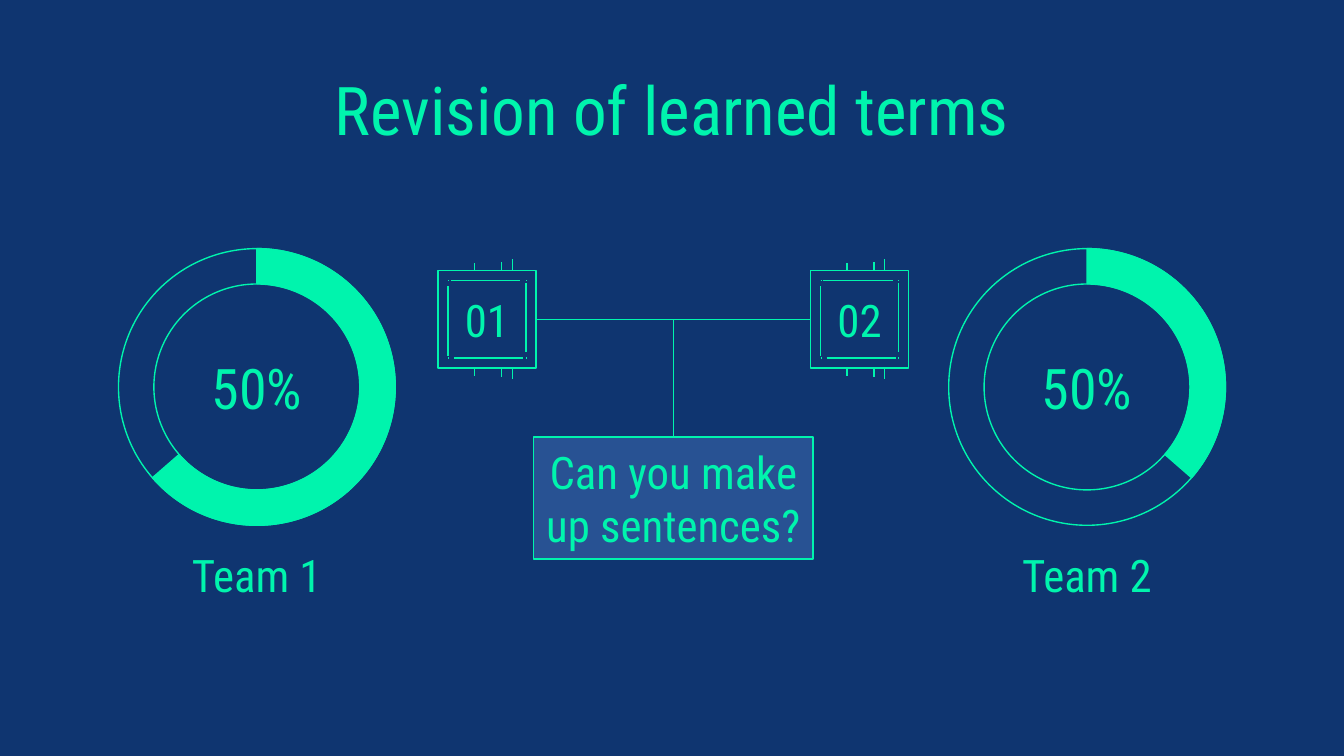
import pptx
import pptx.dml.color
import pptx.enum.shapes
import pptx.enum.text
import pptx.oxml
import pptx.util
from pptx.util import Cm

NAVY = pptx.dml.color.RGBColor(0x0F, 0x35, 0x70)
BLUE = pptx.dml.color.RGBColor(0x28, 0x52, 0x93)
MINT = pptx.dml.color.RGBColor(0x00, 0xF4, 0xAD)
FONT = "Roboto Condensed"
SHAPE = pptx.enum.shapes.MSO_SHAPE
ANCHOR = pptx.enum.text.MSO_ANCHOR


def write(holder, text, size, anchor=ANCHOR.MIDDLE):
    """Fill a shape with centred mint text and no insets."""
    frame = holder.text_frame
    frame.word_wrap = True
    frame.auto_size = pptx.enum.text.MSO_AUTO_SIZE.NONE
    frame.vertical_anchor = anchor
    frame.margin_left = frame.margin_right = 0
    frame.margin_top = frame.margin_bottom = 0
    frame.text = text
    paragraph = frame.paragraphs[0]
    paragraph.alignment = pptx.enum.text.PP_ALIGN.CENTER
    paragraph.font.name = FONT
    paragraph.font.size = pptx.util.Pt(size)
    paragraph.font.color.rgb = MINT


def add_label(shapes, text, size, left, top, width, height):
    """Add a text box, measured in centimetres."""
    label = shapes.add_textbox(Cm(left), Cm(top), Cm(width), Cm(height))
    write(label, text, size)


def add_outlined(shapes, kind, fill, left, top, width, height):
    """Add a filled shape with a thin mint outline."""
    outlined = shapes.add_shape(kind, Cm(left), Cm(top), Cm(width), Cm(height))
    outlined.shadow.inherit = False
    outlined.fill.solid()
    outlined.fill.fore_color.rgb = fill
    outlined.line.color.rgb = MINT
    outlined.line.width = pptx.util.Pt(0.75)
    return outlined


def add_line(shapes, x1, y1, x2, y2):
    """Add a thin mint straight line."""
    line = shapes.add_connector(
        pptx.enum.shapes.MSO_CONNECTOR.STRAIGHT, Cm(x1), Cm(y1), Cm(x2), Cm(y2))
    line.line.color.rgb = MINT
    line.line.width = pptx.util.Pt(0.75)
    properties = line.element.spPr
    properties.append(pptx.oxml.parse_xml(
        '<a:effectLst xmlns:a="http://schemas.openxmlformats.org/drawingml/2006/main"/>'))


def add_title(slide, text, left, top, width, height):
    """Place and format the title placeholder."""
    title = slide.shapes.title
    title.left, title.top = Cm(left), Cm(top)
    title.width, title.height = Cm(width), Cm(height)
    write(title, text, 36, ANCHOR.TOP)


def add_team_ring(slide, team, share, sweep, left, top, size):
    """Draw a ring filled clockwise from the top by sweep degrees, with its captions."""
    ring = add_outlined(slide.shapes, SHAPE.DONUT, NAVY, left, top, size, size)
    ring.adjustments[0] = 0.128
    arc = add_outlined(slide.shapes, SHAPE.BLOCK_ARC, MINT, left, top, size, size)
    arc.rotation = 90
    arc.adjustments[0] = 180 * 0.6
    arc.adjustments[1] = (180 + sweep) % 360 * 0.6
    arc.adjustments[2] = 0.127
    add_label(slide.shapes, share, 30, left, top + size * 0.36, size, size * 0.28)
    add_label(slide.shapes, team, 24, left, top + size + 0.48, size, 0.89)


def add_chip(slide, number, left, top, size):
    """Draw a numbered chip with an inner frame and pins above and below."""
    chip = slide.shapes.add_group_shape().shapes
    add_outlined(chip, SHAPE.RECTANGLE, NAVY, left, top, size, size)
    right, bottom = left + size, top + size
    inset, near, far = 0.19, 0.24, 0.3
    add_line(chip, left + near, top + inset, right - far, top + inset)
    add_line(chip, left + far, bottom - inset, right - near, bottom - inset)
    add_line(chip, left + inset, top + far, left + inset, bottom - near)
    add_line(chip, right - inset, top + near, right - inset, bottom - far)
    for x in (left + inset, right - inset):
        for y in (top + inset, bottom - inset):
            add_line(chip, x, y, x + 0.01, y)
    for offset, length in ((0.69, 0.14), (1.2, 0.16), (1.4, 0.21)):
        x = left + offset
        add_line(chip, x, top - length, x, top)
        add_line(chip, x, bottom, x, bottom + length)
    add_label(slide.shapes, number, 24, left, top + 0.39, size, size - 0.78)


def add_question(slide, text, left, top, width, height):
    """Draw the shared question box."""
    question = add_outlined(slide.shapes, SHAPE.RECTANGLE, BLUE, left, top, width, height)
    write(question, text, 24)


def main():
    """Build and save the slide."""
    deck = pptx.Presentation()
    deck.slide_width, deck.slide_height = Cm(25.4), Cm(14.29)
    slide = deck.slides.add_slide(deck.slide_layouts[5])
    slide.background.fill.solid()
    slide.background.fill.fore_color.rgb = NAVY

    add_title(slide, "Revision of learned terms", 2, 1.3, 21.4, 1.35)
    for team, sweep, left in (("Team 1", 229, 2.24), ("Team 2", 131, 17.93)):
        add_team_ring(slide, team, "50%", sweep, left, 4.7, 5.23)

    chip_top, chip_size = 5.11, 1.85
    first_left, second_left = 8.28, 15.32
    for number, left in (("01", first_left), ("02", second_left)):
        add_chip(slide, number, left, chip_top, chip_size)

    question_top, question_width = 8.26, 5.28
    middle_x = (first_left + chip_size + second_left) / 2
    middle_y = chip_top + chip_size / 2
    add_line(slide.shapes, first_left + chip_size, middle_y, second_left, middle_y)
    add_line(slide.shapes, middle_x, middle_y, middle_x, question_top)
    add_question(slide, "Can you make up sentences?",
                 middle_x - question_width / 2, question_top, question_width, 2.31)

    deck.save("out.pptx")


if __name__ == "__main__":
    main()
